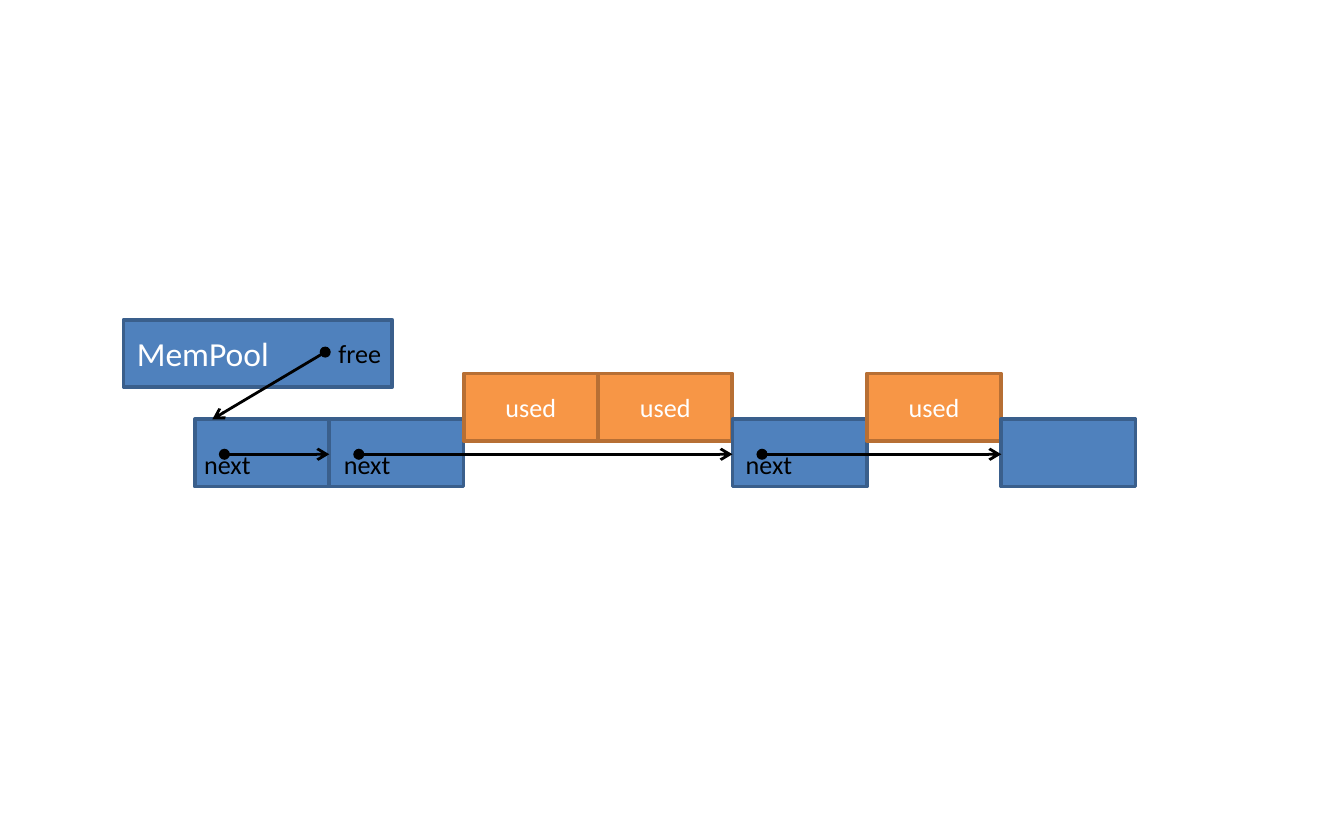
from lxml import etree
from pptx import Presentation
from pptx.dml.color import RGBColor
from pptx.enum import shapes, text
from pptx.oxml.ns import qn
from pptx.util import Inches, Pt

BLUE, BLUE_EDGE = "4F81BD", "3A5F8C"
ORANGE, ORANGE_EDGE = "F79646", "B76F34"
WHITE, BLACK = "FFFFFF", "000000"


def color(value):
    """Turn a hex string into a colour."""
    return RGBColor.from_string(value)


def write(frame, words, size=14, ink=WHITE, align=text.PP_ALIGN.LEFT):
    """Put one formatted line of text into a text frame."""
    para = frame.paragraphs[0]
    para.alignment = align
    span = para.add_run()
    span.text = words
    span.font.name = "Calibri"
    span.font.size = Pt(size)
    span.font.color.rgb = color(ink)


class Diagram:
    """Draws the elements of the memory diagram on one slide."""

    edge_width = Pt(2)
    arrow_width = Pt(1.5)

    def __init__(self, page):
        """Keep the slide that is drawn on."""
        self.shapes = page.shapes

    def block(self, left, top, width=1, fill=BLUE, edge=BLUE_EDGE, words=None, **style):
        """Add a memory block with an optional caption."""
        box = self.shapes.add_shape(
            shapes.MSO_SHAPE.RECTANGLE,
            Inches(left), Inches(top), Inches(width), Inches(0.5))
        box.shadow.inherit = False
        box.fill.solid()
        box.fill.fore_color.rgb = color(fill)
        box.line.color.rgb = color(edge)
        box.line.width = self.edge_width
        if words:
            box.text_frame.vertical_anchor = text.MSO_ANCHOR.MIDDLE
            write(box.text_frame, words, **style)

    def pointer(self, start, end):
        """Add a pointer with a dot at its start and an arrow at its end."""
        line = self.shapes.add_connector(
            shapes.MSO_CONNECTOR.STRAIGHT, *map(Inches, start + end))
        line.line.color.rgb = color(BLACK)
        line.line.width = self.arrow_width
        outline = line.line._get_or_add_ln()
        for tag, kind in (("a:headEnd", "oval"), ("a:tailEnd", "arrow")):
            etree.SubElement(outline, qn(tag), type=kind)
        etree.SubElement(outline.getparent(), qn("a:effectLst"))

    def label(self, words, left, top, width):
        """Add a black label that does not wrap."""
        box = self.shapes.add_textbox(
            Inches(left), Inches(top), Inches(width), Inches(0.34))
        box.text_frame.word_wrap = False
        box.text_frame.auto_size = text.MSO_AUTO_SIZE.SHAPE_TO_FIT_TEXT
        write(box.text_frame, words, ink=BLACK)


deck = Presentation()
deck.slide_width, deck.slide_height = Inches(10), Inches(6.25)
diagram = Diagram(deck.slides.add_slide(deck.slide_layouts[6]))

FIRST_LEFT, FREE_TOP, USED_TOP = 1.45, 3.12, 2.78
SLOTS = ["free", "free", "used", "used", "free", "used", "free"]

diagram.block(0.92, 2.38, width=2, words="MemPool", size=18)
for slot, state in enumerate(SLOTS):
    left = FIRST_LEFT + slot
    if state == "used":
        diagram.block(left, USED_TOP, fill=ORANGE, edge=ORANGE_EDGE,
                      words="used", align=text.PP_ALIGN.CENTER)
    else:
        diagram.block(left, FREE_TOP)

diagram.pointer((2.42, 2.62), (1.58, FREE_TOP))
diagram.label("free", 2.42, 2.46, 0.52)

free_lefts = [FIRST_LEFT + slot for slot, state in enumerate(SLOTS) if state == "free"]
links = list(zip(free_lefts, free_lefts[1:]))
for left, following in links:
    diagram.pointer((left + 0.22, 3.38), (following, 3.38))
for (left, _), shift in zip(links, (-0.03, 0.01, 0)):
    diagram.label("next", left + shift, 3.29, 0.55)

deck.save("out.pptx")
